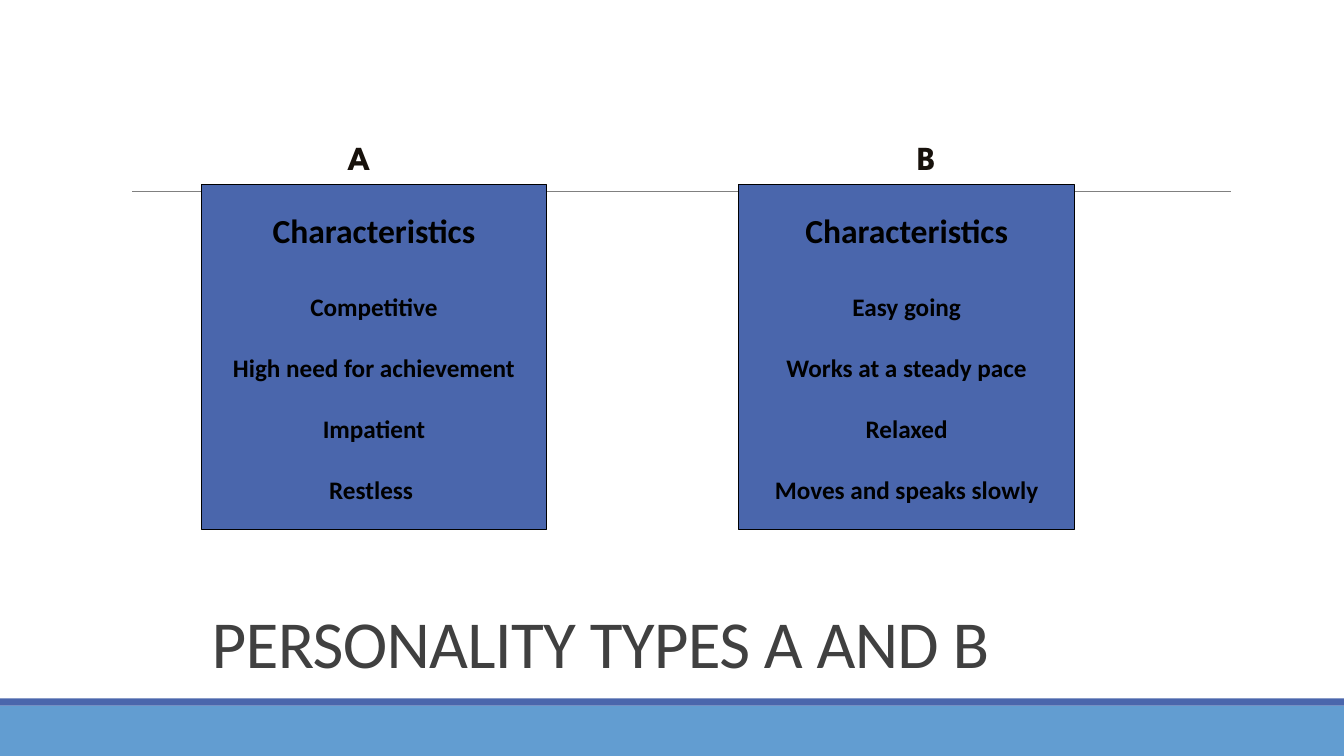
import pptx
import pptx.dml.color
import pptx.enum.shapes
import pptx.enum.text
import pptx.oxml.ns
import pptx.util
from lxml import etree

Cm = pptx.util.Cm
Pt = pptx.util.Pt
ALIGN = pptx.enum.text.PP_ALIGN
ANCHOR = pptx.enum.text.MSO_ANCHOR

COLORS = {
    "sky": "629DD1",
    "blue": "4A66AC",
    "rule": "808080",
    "title": "404040",
    "label": "17110B",
    "black": "000000",
}
WIDTH, HEIGHT = 33.87, 19.05
LINE_HEIGHT = 1.22  # one Calibri line, relative to its size

# letter, traits, panel left, panel width, label left, label width
TYPES = [
    ("A", ["Competitive", "High need for achievement", "Impatient", "Restless "],
     5.08, 8.69, 8.51, 1.14),
    ("B", ["Easy going", "Works at a steady pace", "Relaxed", "Moves and speaks slowly"],
     18.62, 8.46, 22.86, 0.99),
]


def color(name):
    return pptx.dml.color.RGBColor.from_string(COLORS[name])


def write(paragraph, text, size, font="Calibri", fill="black", bold=False,
          align=ALIGN.LEFT, before=0, spacing=None):
    """Put formatted text into a paragraph."""
    run = paragraph.add_run()
    run.text = text
    run.font.size = Pt(size)
    run.font.name = font
    run.font.bold = bold
    run.font.color.rgb = color(fill)
    paragraph.alignment = align
    paragraph.space_before = Pt(before)
    if spacing is not None:
        run.font._element.set("spc", str(round(spacing * 100)))


def add_rectangle(slide, left, top, width, height, fill, outline=None):
    shape = slide.shapes.add_shape(
        pptx.enum.shapes.MSO_SHAPE.RECTANGLE, Cm(left), Cm(top), Cm(width), Cm(height))
    shape.shadow.inherit = False
    shape.fill.solid()
    shape.fill.fore_color.rgb = color(fill)
    if outline:
        shape.line.color.rgb = color(outline)
        shape.line.width = Pt(0.75)
    else:
        shape.line.fill.background()
    return shape


def add_backdrop(slide):
    # Footer bands
    add_rectangle(slide, 0, HEIGHT - 1.27, WIDTH, 1.27, "sky")
    add_rectangle(slide, 0, HEIGHT - 1.45, WIDTH, 0.18, "blue")
    # Thin rule behind the panels
    rule = slide.shapes.add_connector(
        pptx.enum.shapes.MSO_CONNECTOR.STRAIGHT, Cm(3.33), Cm(4.83), Cm(31.01), Cm(4.83))
    rule.line.color.rgb = color("rule")
    rule.line.width = Pt(0.5)
    etree.SubElement(rule._element.spPr, pptx.oxml.ns.qn("a:effectLst"))


def add_title(slide, left, top, width, height):
    title = slide.shapes.title
    title.left, title.top, title.width, title.height = map(Cm, (left, top, width, height))
    frame = title.text_frame
    frame.auto_size = pptx.enum.text.MSO_AUTO_SIZE.NONE
    frame.vertical_anchor = ANCHOR.BOTTOM
    paragraph = frame.paragraphs[0]
    paragraph.line_spacing = 0.85
    write(paragraph, "PERSONALITY TYPES A AND B", 48, fill="title", spacing=-0.5)


def add_panel(slide, left, top, width, height, traits):
    """Draw a box with a heading and one spaced line per trait."""
    frame = add_rectangle(slide, left, top, width, height, "blue", "black").text_frame
    frame.word_wrap = False
    frame.vertical_anchor = ANCHOR.MIDDLE
    write(frame.paragraphs[0], "Characteristics", 24, bold=True, align=ALIGN.CENTER)
    for index, trait in enumerate(traits):
        gap = (18 if index else 24) * LINE_HEIGHT
        write(frame.add_paragraph(), trait, 18, bold=True, align=ALIGN.CENTER, before=gap)


def add_label(slide, left, top, width, height, letter):
    frame = slide.shapes.add_textbox(Cm(left), Cm(top), Cm(width), Cm(height)).text_frame
    frame.word_wrap = True
    write(frame.paragraphs[0], letter, 24, font="League Spartan", fill="label", bold=True)


def main():
    presentation = pptx.Presentation()
    presentation.slide_width, presentation.slide_height = Cm(WIDTH), Cm(HEIGHT)
    slide = presentation.slides.add_slide(presentation.slide_layouts[5])
    add_backdrop(slide)
    add_title(slide, 5.08, 14.15, 22.02, 3.18)
    for letter, traits, left, width, label_left, label_width in TYPES:
        add_panel(slide, left, 4.65, width, 8.69, traits)
        add_label(slide, label_left, 3.33, label_width, 1.27, letter)
    presentation.save("out.pptx")


if __name__ == "__main__":
    main()
